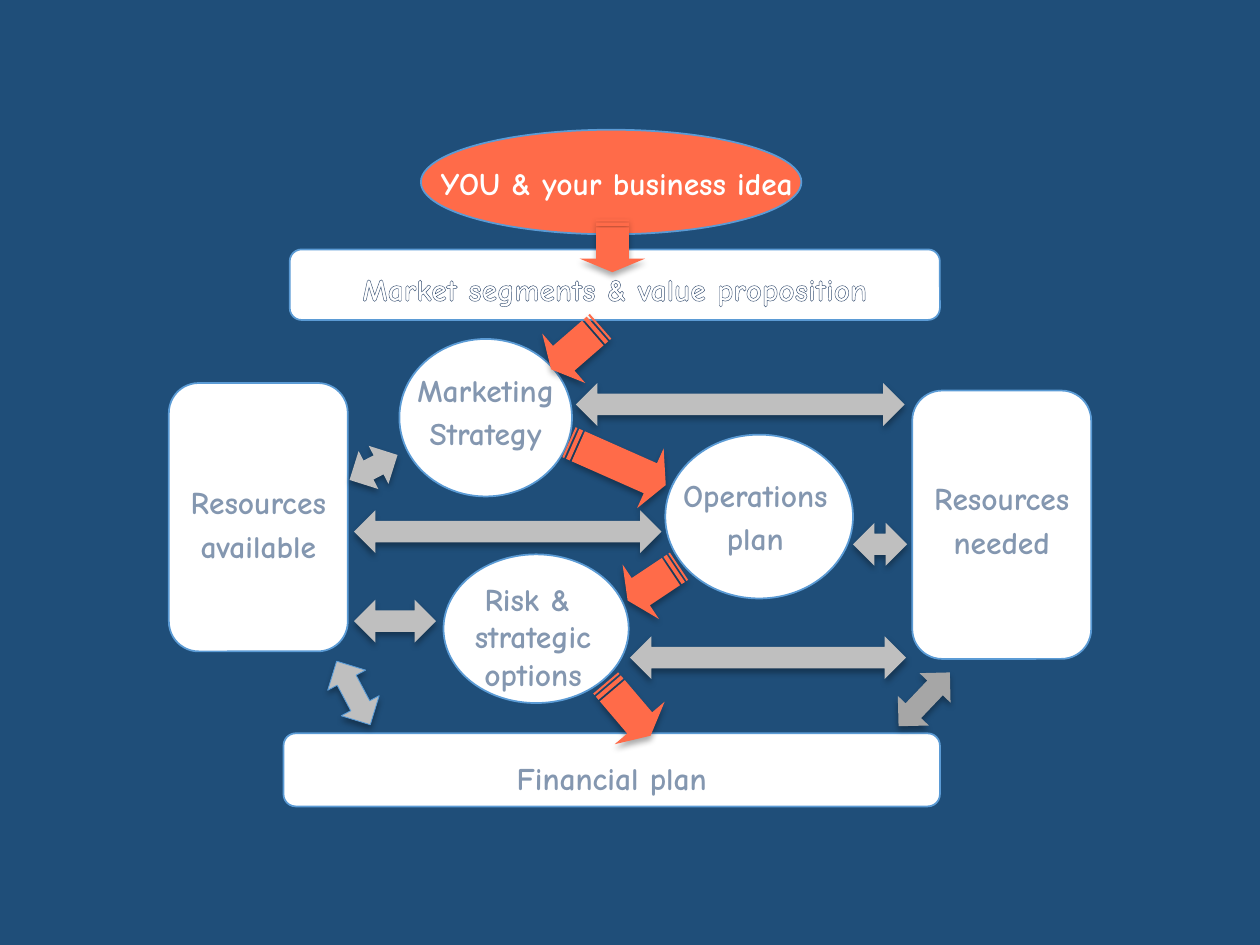
from lxml import etree
from pptx import Presentation
from pptx import util as u
from pptx.dml.color import RGBColor
from pptx.enum import shapes, text
from pptx.oxml.ns import qn

NAVY = RGBColor(0x1F, 0x4E, 0x79)
WHITE = RGBColor(0xFF, 0xFF, 0xFF)
BLUE = RGBColor(0x5B, 0x9B, 0xD5)
ORANGE = RGBColor(0xFF, 0x6B, 0x49)
SILVER = RGBColor(0xBF, 0xBF, 0xBF)
GREY = RGBColor(0xA6, 0xA6, 0xA6)
SLATE = RGBColor(0x84, 0x97, 0xB0)
INK = RGBColor(0x3A, 0x52, 0x74)
BLACK = RGBColor(0, 0, 0)
KIND = shapes.MSO_SHAPE


def add_solid_fill(parent, color, **extra):
    fill = etree.SubElement(parent, qn("a:solidFill"))
    etree.SubElement(fill, qn("a:srgbClr"), val=str(color))


class Diagram:
    font = "Comic Neue"
    size = u.Pt(18)

    def __init__(self, page):
        self.page = page
        page.background.fill.solid()
        page.background.fill.fore_color.rgb = NAVY

    def shape(self, kind, place, fill, line=None, width=1):
        shape = self.page.shapes.add_shape(kind, *map(u.Inches, place))
        shape.shadow.inherit = False
        shape.fill.solid()
        shape.fill.fore_color.rgb = fill
        if line is None:
            shape.line.fill.background()
        else:
            shape.line.color.rgb = line
            shape.line.width = u.Pt(width)
        return shape

    def node(self, kind, place, fill=WHITE):
        return self.shape(kind, place, fill, BLUE)

    def arrow(self, kind, place, angle, fill, line=None):
        arrow = self.shape(kind, place, fill, line, 0.5)
        arrow.rotation = angle
        if kind == KIND.STRIPED_RIGHT_ARROW:
            arrow.adjustments[1] = 0.256
        # Soft shadow below the arrow
        effects = arrow._element.spPr.find(qn("a:effectLst"))
        shadow = etree.SubElement(
            effects, qn("a:outerShdw"), blurRad=str(u.Pt(3.5)),
            dist=str(u.Pt(2.2)), dir="5400000", rotWithShape="0")
        tone = etree.SubElement(shadow, qn("a:srgbClr"), val=str(BLACK))
        etree.SubElement(tone, qn("a:alpha"), val="32000")

    def label(self, words, place, color=SLATE, spacing=None):
        frame = self.text(words, place, color, text.PP_ALIGN.CENTER)
        frame.margin_left = frame.margin_right = u.Inches(0.07)
        frame.margin_top = frame.margin_bottom = u.Inches(0.04)
        for para in frame.paragraphs:
            para.line_spacing = spacing
            for span in para.runs:
                outline = etree.Element(qn("a:ln"), w=str(u.Pt(1)))
                add_solid_fill(outline, INK)
                span.font._element.insert(0, outline)

    def text(self, words, place, color, align=None):
        box = self.page.shapes.add_textbox(*map(u.Inches, place))
        frame = box.text_frame
        frame.word_wrap = True
        frame.text = words
        for para in frame.paragraphs:
            para.alignment = align
            for span in para.runs:
                span.font.name = self.font
                span.font.size = self.size
                span.font.bold = True
                span.font.color.rgb = color
        return frame


def main():
    deck = Presentation()
    deck.slide_width, deck.slide_height = u.Inches(10), u.Inches(7.5)
    diagram = Diagram(deck.slides.add_slide(deck.slide_layouts[6]))

    # Plan and resource panels
    for place in [(2.25, 5.82, 5.21, 0.58), (2.3, 1.98, 5.16, 0.56),
                  (1.34, 3.04, 1.42, 2.13), (7.24, 3.1, 1.42, 2.13)]:
        diagram.node(KIND.ROUNDED_RECTANGLE, place)

    # Strategy ovals and the business idea
    for place in [(3.17, 2.69, 1.37, 1.25), (5.28, 3.45, 1.49, 1.3),
                  (3.52, 4.4, 1.47, 1.18)]:
        diagram.node(KIND.OVAL, place)
    diagram.node(KIND.OVAL, (3.34, 1.03, 3.02, 0.83), ORANGE)

    # Two-way links: left, top, width, angle, fill, line
    for left, top, width, angle, fill, line in [
            (2.75, 3.54, 0.43, 332.5, SILVER, None),
            (2.81, 4.05, 2.44, 0, SILVER, None),
            (4.57, 3.04, 2.61, 0, SILVER, None),
            (6.77, 4.15, 0.43, 0, SILVER, None),
            (2.52, 5.33, 0.57, 62.1, SILVER, BLUE),
            (7.04, 5.38, 0.59, 133.6, GREY, None),
            (2.81, 4.76, 0.65, 0, SILVER, None),
            (5, 5.05, 2.19, 0, SILVER, None)]:
        diagram.arrow(KIND.LEFT_RIGHT_ARROW, (left, top, width, 0.34),
                      angle, fill, line)

    # Main flow: left, top, width, angle
    for left, top, width, angle in [
            (4.65, 1.69, 0.42, 90), (4.31, 2.5, 0.52, 139),
            (4.48, 3.42, 0.84, 23.9), (4.94, 4.37, 0.49, 146.3),
            (4.71, 5.37, 0.55, 49.6)]:
        diagram.arrow(KIND.STRIPED_RIGHT_ARROW, (left, top, width, 0.52),
                      angle, ORANGE)

    # Labels
    diagram.label("Market segments & value proposition",
                  (2.3, 2.1, 5.16, 0.35), WHITE)
    diagram.label("Risk & \nstrategic options", (3.64, 4.56, 1.18, 1.02))
    for words, place in [
            ("Marketing Strategy", (3.17, 2.86, 1.37, 0.77)),
            ("Operations plan", (5.28, 3.69, 1.43, 0.68)),
            ("Financial plan", (2.25, 5.94, 5.21, 0.35)),
            ("Resources available", (1.34, 3.75, 1.42, 0.86)),
            ("Resources needed", (7.24, 3.72, 1.42, 0.86))]:
        diagram.label(words, place, spacing=1.15)
    idea = diagram.text("YOU & your business idea", (3.4, 1.25, 3.02, 0.4),
                        WHITE)
    idea.auto_size = text.MSO_AUTO_SIZE.SHAPE_TO_FIT_TEXT

    deck.save("out.pptx")


if __name__ == "__main__":
    main()
